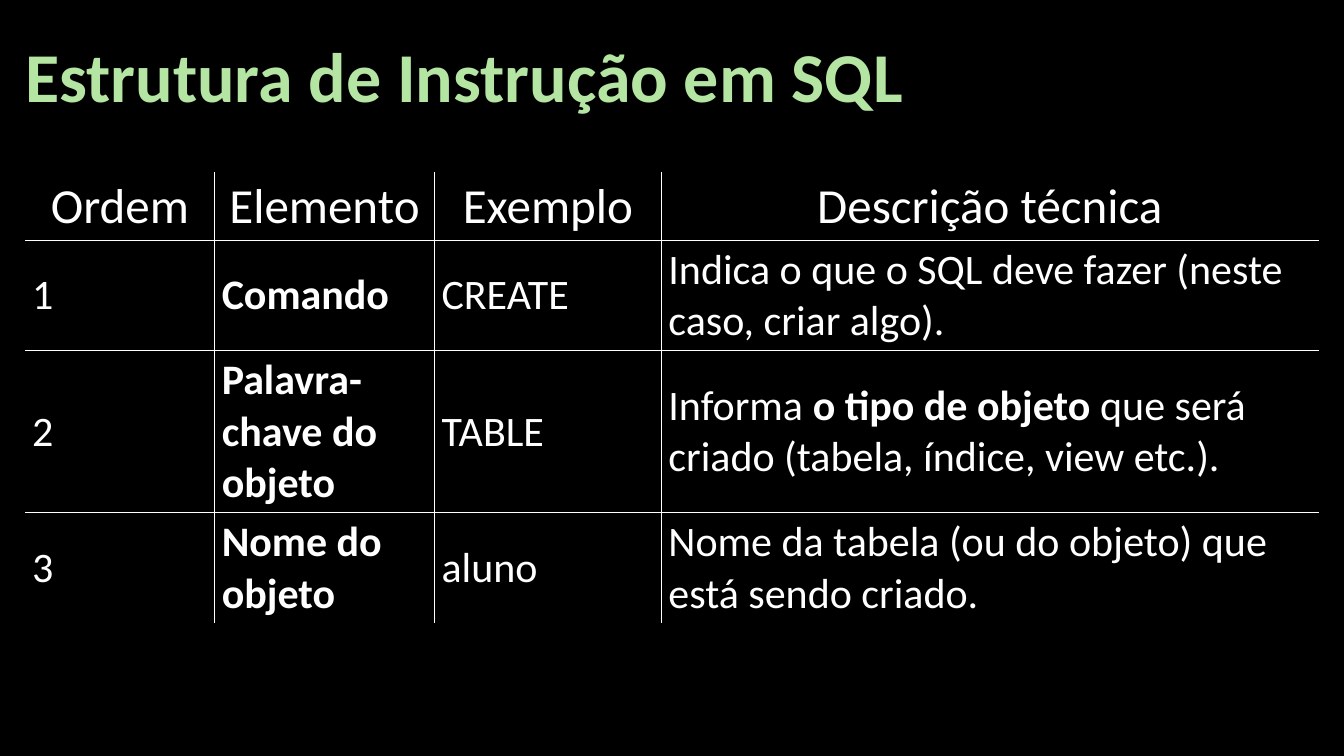
from dataclasses import dataclass

from lxml import etree
from pptx import Presentation
from pptx.dml.color import RGBColor
from pptx.enum.text import MSO_ANCHOR, MSO_AUTO_SIZE, PP_ALIGN
from pptx.oxml.ns import qn
from pptx.slide import Slide
from pptx.table import _Cell
from pptx.util import Inches, Pt

LEFT, CENTER = PP_ALIGN.LEFT, PP_ALIGN.CENTER
MIDDLE = MSO_ANCHOR.MIDDLE
NO_AUTOFIT = MSO_AUTO_SIZE.NONE
FONT = "Calibri"
BLACK, WHITE, GREEN = "000000", "FFFFFF", "B4E5A2"
COL_WIDTHS = (1.88, 2.18, 2.25, 6.52)
ROW_HEIGHTS = (0.66, 1.07, 1.58, 1.07)
HEADERS = ("Ordem", "Elemento", "Exemplo", "Descrição técnica")


@dataclass
class Run:
    text: str
    bold: bool = False


@dataclass
class Element:
    name: str
    example: str
    description: list[Run]


ELEMENTS = [
    Element("Comando", "CREATE",
            [Run("Indica o que o SQL deve fazer (neste caso, criar algo).")]),
    Element("Palavra-chave do objeto", "TABLE",
            [Run("Informa "), Run("o tipo de objeto", True),
             Run(" que será criado (tabela, índice, view etc.).")]),
    Element("Nome do objeto", "aluno",
            [Run("Nome da tabela (ou do objeto) que está sendo criado.")]),
]


def rgb(color: str) -> RGBColor:
    return RGBColor.from_string(color)


def set_font(font, size: float, color: str) -> None:
    font.name, font.size = FONT, Pt(size)
    font.color.rgb = rgb(color)


def set_borders(cell: _Cell, sides: dict[str, bool]) -> None:
    tcPr = cell._tc.get_or_add_tcPr()
    for side, visible in sides.items():
        ln = etree.SubElement(tcPr, qn(f"a:ln{side}"), w=str(Pt(1)))
        if visible:
            fill = etree.SubElement(ln, qn("a:solidFill"))
            etree.SubElement(fill, qn("a:srgbClr"), val=WHITE)
        else:
            etree.SubElement(ln, qn("a:noFill"))


def fill_cell(cell: _Cell, runs: list[Run], size: float, align: PP_ALIGN) -> None:
    cell.fill.solid()
    cell.fill.fore_color.rgb = rgb(BLACK)
    cell.vertical_anchor = MIDDLE
    cell.margin_left = cell.margin_right = Inches(0.07)
    cell.margin_top = cell.margin_bottom = Inches(0.04)
    p = cell.text_frame.paragraphs[0]
    p.alignment = align
    set_font(p.font, size, WHITE)
    for run in runs:
        r = p.add_run()
        r.text = run.text
        set_font(r.font, size, WHITE)
        r.font.bold = run.bold


def add_title(s: Slide, text: str) -> None:
    title = s.shapes.title
    title.left, title.top = Inches(0.15), Inches(0.27)
    title.width, title.height = Inches(8.99), Inches(0.94)
    tf = title.text_frame
    tf.text = text
    tf.word_wrap = False
    tf.auto_size = NO_AUTOFIT
    p = tf.paragraphs[0]
    p.alignment = LEFT
    set_font(p.font, 50, GREEN)
    p.font.bold = True


def add_elements_table(s: Slide) -> None:
    rows = [[[Run(header)] for header in HEADERS]]
    for order, e in enumerate(ELEMENTS, 1):
        rows.append([[Run(str(order))], [Run(e.name, True)],
                     [Run(e.example)], e.description])
    n_rows, n_cols = len(rows), len(HEADERS)
    table = s.shapes.add_table(
        n_rows, n_cols, Inches(0.25), Inches(1.71),
        Inches(sum(COL_WIDTHS)), Inches(sum(ROW_HEIGHTS))).table
    table.first_row = table.horz_banding = False
    for col, width in zip(table.columns, COL_WIDTHS):
        col.width = Inches(width)
    for row, height in zip(table.rows, ROW_HEIGHTS):
        row.height = Inches(height)
    for i, row in enumerate(rows):
        size, align = (30, LEFT) if i else (35, CENTER)
        for j, runs in enumerate(row):
            cell = table.cell(i, j)
            set_borders(cell, {"L": j > 0, "R": j < n_cols - 1,
                               "T": i > 0, "B": i < n_rows - 1})
            fill_cell(cell, runs, size, align)


def main() -> None:
    """Build the slide on the structure of an SQL statement."""
    prs = Presentation()
    prs.slide_width, prs.slide_height = Inches(13.33), Inches(7.5)
    s = prs.slides.add_slide(prs.slide_layouts[5])
    s.background.fill.solid()
    s.background.fill.fore_color.rgb = rgb(BLACK)
    add_title(s, "Estrutura de Instrução em SQL")
    add_elements_table(s)
    prs.save("out.pptx")


if __name__ == "__main__":
    main()
